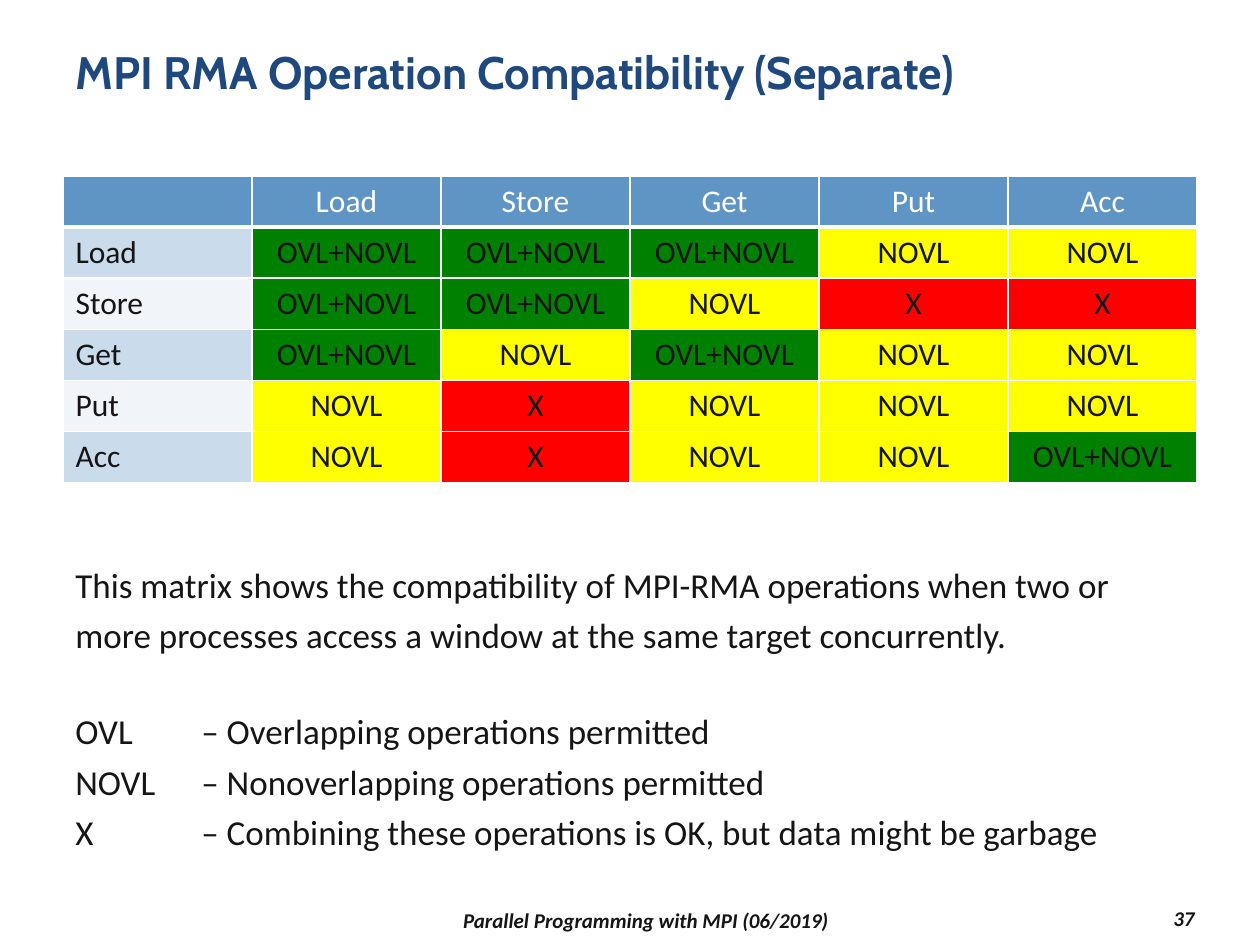
from lxml import etree
from pptx import Presentation
from pptx.dml.color import RGBColor
from pptx.enum.text import MSO_ANCHOR, PP_ALIGN
from pptx.oxml.ns import qn
from pptx.util import Pt

LEFT, MID, RIGHT = PP_ALIGN.LEFT, PP_ALIGN.CENTER, PP_ALIGN.RIGHT
TOP, MIDDLE = MSO_ANCHOR.TOP, MSO_ANCHOR.MIDDLE

# Content
TITLE = "MPI RMA Operation Compatibility (Separate)"
OPS = ["Load", "Store", "Get", "Put", "Acc"]
BOTH, APART, BAD = "OVL+NOVL", "NOVL", "X"
MATRIX = [
    [BOTH, BOTH, BOTH, APART, APART],
    [BOTH, BOTH, APART, BAD, BAD],
    [BOTH, APART, BOTH, APART, APART],
    [APART, BAD, APART, APART, APART],
    [APART, BAD, APART, APART, BOTH],
]
INTRO = ("This matrix shows the compatibility of MPI-RMA operations when two or "
         "more processes access a window at the same target concurrently.")
LEGEND = [
    ("OVL", "Overlapping operations permitted"),
    ("NOVL", "Nonoverlapping operations permitted"),
    ("X", "Combining these operations is OK, but data might be garbage"),
]
FOOTERS = [  # text, box in px, alignment
    ("37", (1071, 901, 136, 34), RIGHT),
    ("Parallel Programming with MPI (06/2019)", (273, 903, 746, 34), MID),
]
COLORS = {
    "title": "1F497D", "ink": "151515", "white": "FFFFFF", "head": "5F95C4",
    "odd": "CADCEB", "even": "F1F5F9",
    BOTH: "008000", APART: "FFFF00", BAD: "FF0000",
}

# Layout in px
SCALE = 914400 / 126
EDGE, WIDE = 63, 1134
GRID_TOP, COL, ROW = 176, 189, 51
TAB = 126


def px(n):
    return round(n * SCALE)


def rgb(name):
    return RGBColor.from_string(COLORS[name])


def place(shape, box):
    shape.left, shape.top, shape.width, shape.height = map(px, box)


def style(para, size, color="ink", face="Calibri", bold=False, slant=False):
    for run in para.runs:
        font = run.font
        font.name, font.size = face, Pt(size)
        font.bold, font.italic = bold, slant
        font.color.rgb = rgb(color)


def add_box(slide, box, anchor):
    frame = slide.shapes.add_textbox(*map(px, box)).text_frame
    frame.word_wrap = True
    frame.vertical_anchor = anchor
    return frame


def edge(cell, side, width):
    line = etree.SubElement(cell._tc.get_or_add_tcPr(), qn("a:ln" + side),
                            w=str(Pt(width)))
    fill = etree.SubElement(line, qn("a:solidFill"))
    etree.SubElement(fill, qn("a:srgbClr"), val=COLORS["white"])


def add_tab(para):
    tabs = etree.SubElement(para._p.get_or_add_pPr(), qn("a:tabLst"))
    etree.SubElement(tabs, qn("a:tab"), pos=str(px(TAB)), algn="l")


def add_grid(slide):
    rows = [[""] + OPS] + [[op] + row for op, row in zip(OPS, MATRIX)]
    high, wide = len(rows), len(rows[0])
    box = (EDGE, GRID_TOP, COL * wide, ROW * high)
    table = slide.shapes.add_table(high, wide, *map(px, box)).table
    table.first_row = table.horz_banding = False
    for r, row in enumerate(rows):
        for c, text in enumerate(row):
            cell = table.cell(r, c)
            for side in "LRTB":
                edge(cell, side, 3 if r == 0 and side == "B" else 1)
            if r == 0:
                fill = "head"
            elif c == 0:
                fill = "odd" if r % 2 else "even"
            else:
                fill = text
            cell.fill.solid()
            cell.fill.fore_color.rgb = rgb(fill)
            cell.text = text
            para = cell.text_frame.paragraphs[0]
            para.alignment = MID if r == 0 or c else LEFT
            style(para, 18, "ink" if r else "white")


def main():
    deck = Presentation()
    deck.slide_width, deck.slide_height = px(1260), px(945)
    slide = deck.slides.add_slide(deck.slide_layouts[5])

    # Title
    title = slide.shapes.title
    place(title, (EDGE, 38, WIDE, 110))
    frame = title.text_frame
    frame.text = TITLE
    frame.vertical_anchor = TOP
    frame.paragraphs[0].alignment = LEFT
    style(frame.paragraphs[0], 26, "title", "Cabin", bold=True)

    # Compatibility matrix
    add_grid(slide)

    # Explanation and legend
    frame = add_box(slide, (EDGE, 549, WIDE, 310), TOP)
    frame.text = INTRO
    for i, (key, note) in enumerate(LEGEND):
        para = frame.add_paragraph()
        para.text = f"{key}\t– {note}"
        add_tab(para)
        if i == 0:
            para.space_before = Pt(26)
    for para in frame.paragraphs:
        para.line_spacing = 1.2
        style(para, 20)

    # Footer
    for text, box, align in FOOTERS:
        frame = add_box(slide, box, MIDDLE)
        frame.text = text
        frame.paragraphs[0].alignment = align
        style(frame.paragraphs[0], 12, bold=True, slant=True)

    deck.save("out.pptx")


if __name__ == "__main__":
    main()
